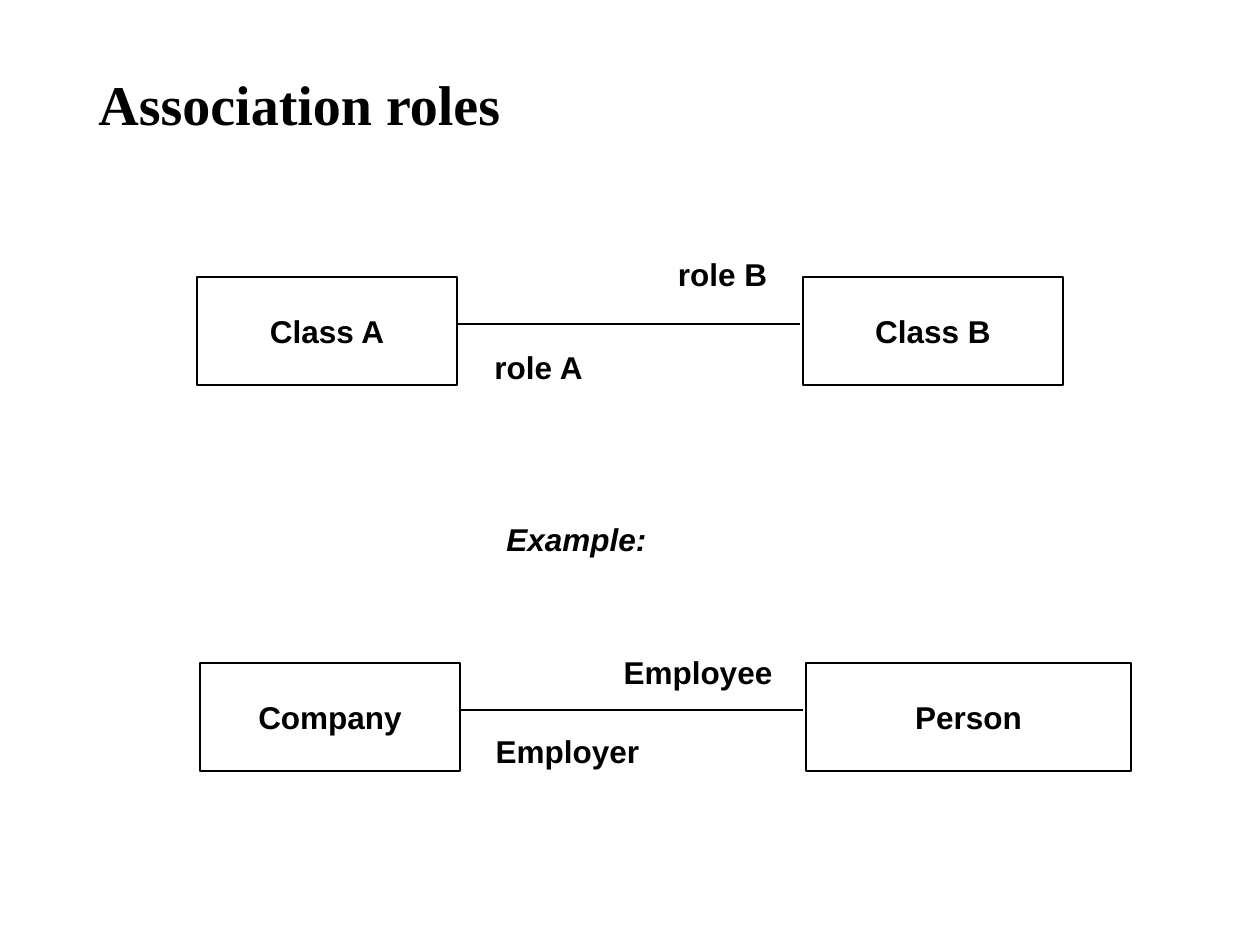
from dataclasses import dataclass
from lxml import etree
from pptx import Presentation
from pptx.dml.color import RGBColor
from pptx.enum.shapes import MSO_CONNECTOR, MSO_SHAPE
from pptx.enum.text import MSO_ANCHOR, MSO_AUTO_SIZE, PP_ALIGN
from pptx.oxml.ns import qn
from pptx.util import Emu, Pt

RECT, LINE = MSO_SHAPE.RECTANGLE, MSO_CONNECTOR.STRAIGHT
MID, TOP = MSO_ANCHOR.MIDDLE, MSO_ANCHOR.TOP
LEFT, CENTER = PP_ALIGN.LEFT, PP_ALIGN.CENTER
GROW = MSO_AUTO_SIZE.SHAPE_TO_FIT_TEXT


@dataclass(frozen=True)
class Theme:
    ink: RGBColor = RGBColor(0, 0, 0)
    paper: RGBColor = RGBColor(255, 255, 255)
    serif: str = "Times New Roman"
    sans: str = "Arial"
    head: int = 32
    body: int = 18
    rule: float = 0.75


THEME = Theme()
PX = 914400 // 126
BOX_W, BOX_H, STEP, LINE_Y, GAP, LABEL_H = 260, 108, 606, 47, 3, 63

TITLE = ("Association roles", (86, 42, 559, 123))
EXAMPLE = ("Example:", (494, 514, 212, 50))
PAIRS = [
    {"at": (197, 277), "names": ("Class A", "Class B"), "wide": BOX_W,
     "roles": [("role A", 466, 335, 145), ("role B", 650, 242, 145)]},
    {"at": (200, 663), "names": ("Company", "Person"), "wide": 325,
     "roles": [("Employer", 459, 719, 217), ("Employee", 586, 640, 224)]},
]


def px(*vals):
    return [Emu(v * PX) for v in vals]


def write(shape, text, align=CENTER, anchor=MID, wrap=False,
          face=THEME.sans, size=THEME.body, slant=False):
    frame = shape.text_frame
    frame.word_wrap = wrap
    frame.vertical_anchor = anchor
    para = frame.paragraphs[0]
    para.text = text
    para.alignment = align
    font = para.font
    font.name, font.size = face, Pt(size)
    font.bold, font.italic = True, slant
    font.color.rgb = THEME.ink
    return frame


def stroke(line):
    line.color.rgb = THEME.ink
    line.width = Pt(THEME.rule)


def add_text(slide, text, at, **style):
    return write(slide.shapes.add_textbox(*px(*at)), text, **style)


def add_class(slide, name, x, y, wide):
    box = slide.shapes.add_shape(RECT, *px(x, y, wide, BOX_H))
    box.shadow.inherit = False
    box.fill.solid()
    box.fill.fore_color.rgb = THEME.paper
    stroke(box.line)
    write(box, name)


def add_pair(slide, pair):
    x, y = pair["at"]
    for i, (name, wide) in enumerate(zip(pair["names"], (BOX_W, pair["wide"]))):
        add_class(slide, name, x + i * STEP, y, wide)
    level = y + LINE_Y
    link = slide.shapes.add_connector(
        LINE, *px(x + BOX_W, level, x + STEP - GAP, level))
    stroke(link.line)
    etree.SubElement(link._element.spPr, qn("a:effectLst"))
    for role, left, top, wide in pair["roles"]:
        add_text(slide, role, (left, top, wide, LABEL_H)).auto_size = GROW


def main():
    deck = Presentation()
    deck.slide_width, deck.slide_height = px(1260, 945)
    slide = deck.slides.add_slide(deck.slide_layouts[6])
    add_text(slide, *TITLE, align=LEFT, wrap=True,
             face=THEME.serif, size=THEME.head)
    for pair in PAIRS:
        add_pair(slide, pair)
    add_text(slide, *EXAMPLE, align=LEFT, anchor=TOP, wrap=True,
             slant=True).auto_size = GROW
    deck.save("out.pptx")


if __name__ == "__main__":
    main()
